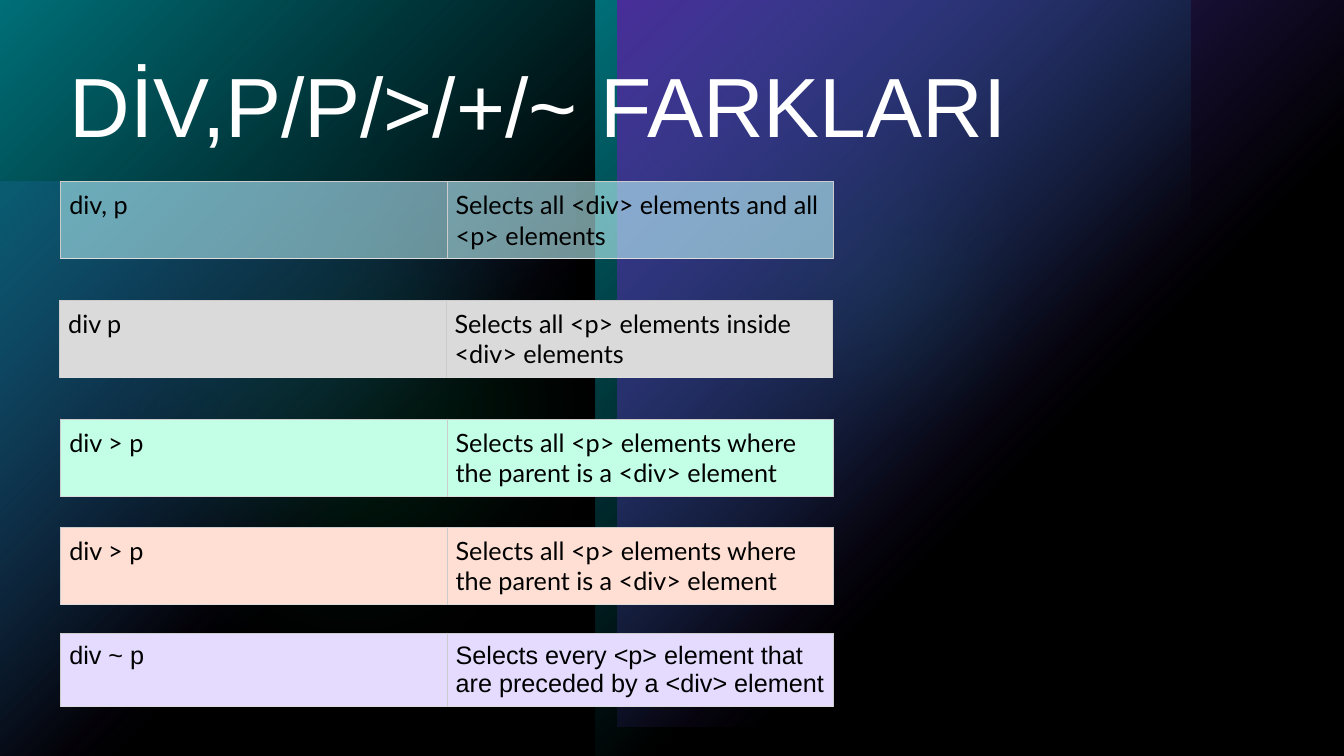
"""Build a slide that compares CSS selectors over a glowing dark backdrop."""
from lxml import etree
from pptx import Presentation
from pptx.dml.color import RGBColor
from pptx.enum.shapes import MSO_SHAPE
from pptx.enum.text import MSO_ANCHOR, PP_ALIGN
from pptx.oxml.ns import qn
from pptx.util import Pt

PX = 9525
RECT, OVAL = MSO_SHAPE.RECTANGLE, MSO_SHAPE.OVAL
TOP, LEFT = MSO_ANCHOR.TOP, PP_ALIGN.LEFT
TEAL, VIOLET, GREEN, BLACK = "00BAC8", "794DFF", "00D17D", "000000"


def rgb(code):
    """Turn a hex string into a colour."""
    return RGBColor.from_string(code)


def tint(host, code, alpha=100):
    """Add a colour with its opacity in percent to an XML fill or stop."""
    node = etree.SubElement(host, qn("a:srgbClr"), val=str(rgb(code)))
    if alpha < 100:
        etree.SubElement(node, qn("a:alpha"), val=str(alpha * 1000))


deck = Presentation()
deck.slide_width, deck.slide_height = 1280 * PX, 720 * PX
slide = deck.slides.add_slide(deck.slide_layouts[5])
back = slide.background.fill
back.solid()
back.fore_color.rgb = rgb(BLACK)

glows = [
    (RECT, 0, 173, 548, 548, VIOLET, 60, "fade"),
    (OVAL, 604, 41, 453, 453, GREEN, 60, "soft"),
    (OVAL, 0, 54, 666, 666, GREEN, 20, "soft"),
    (RECT, 0, 0, 567, 720, TEAL, 100, "fade"),
    (RECT, 567, 0, 567, 720, TEAL, 100, "fade"),
    (RECT, 588, 0, 692, 692, VIOLET, 100, "fade"),
    (RECT, 0, 0, 1280, 720, BLACK, 40, "flat"),
]
for kind, x, y, wide, high, code, alpha, mode in glows:
    glow = slide.shapes.add_shape(kind, x * PX, y * PX, wide * PX, high * PX)
    glow.line.fill.background()
    glow.shadow.inherit = False
    props = glow.element.spPr
    if mode == "fade":
        fill = etree.Element(qn("a:gradFill"), rotWithShape="1")
        stops = etree.SubElement(fill, qn("a:gsLst"))
        for pos, level in ((0, alpha), (60, 0)):
            stop = etree.SubElement(stops, qn("a:gs"), pos=str(pos * 1000))
            tint(stop, code, level)
        path = etree.SubElement(fill, qn("a:path"), {"path": "circle"})
        etree.SubElement(path, qn("a:fillToRect"), r="100000", b="100000")
    else:
        fill = etree.Element(qn("a:solidFill"))
        tint(fill, code, alpha)
    props.insert(2, fill)
    if mode == "soft":
        effects = props.find(qn("a:effectLst"))
        etree.SubElement(effects, qn("a:softEdge"), rad=str(Pt(100)))

title = slide.shapes.title
title.element.getparent().append(title.element)
title.left, title.top = 57 * PX, 57 * PX
title.width, title.height = 1165 * PX, 190 * PX
frame = title.text_frame
frame.text = "DİV,P/P/>/+/~ FARKLARI"
frame.vertical_anchor = TOP
frame.word_wrap = True
head = frame.paragraphs[0]
head.alignment = LEFT
head.line_spacing = 0.9
head.font.name, head.font.size = "Arial", Pt(60)
head.font.color.rgb = rgb("FFFFFF")

rules = [
    (58, 173, "C1FBFF", (53, 59), "Lato", "div, p",
     "Selects all <div> elements and all <p> elements"),
    (57, 286, "DADADA", (100, 100), "Lato", "div p",
     "Selects all <p> elements inside <div> elements"),
    (58, 399, "C3FFE7", (100, 100), "Lato", "div > p",
     "Selects all <p> elements where the parent is a <div> element"),
    (58, 502, "FFDFD3", (100, 100), "Lato", "div > p",
     "Selects all <p> elements where the parent is a <div> element"),
    (58, 603, "E4DBFF", (100, 100), "Arial", "div ~ p",
     "Selects every <p> element that are preceded by a <div> element"),
]
edges = {"a:lnL": "CCCCCC", "a:lnR": "CCCCCC", "a:lnT": "CCCCCC", "a:lnB": "DDDDDD"}
for x, y, code, alphas, face, *texts in rules:
    table = slide.shapes.add_table(1, 2, x * PX, y * PX, 736 * PX, 70 * PX).table
    table.first_row = table.horz_banding = False
    for cell, text, alpha in zip(table.rows[0].cells, texts, alphas):
        cell.text = text
        cell.margin_left = cell.margin_right = 8 * PX
        cell.margin_top = cell.margin_bottom = 8 * PX
        font = cell.text_frame.paragraphs[0].font
        font.name, font.size = face, Pt(18)
        font.color.rgb = rgb(BLACK)
        props = cell._tc.get_or_add_tcPr()
        for side, shade in edges.items():
            edge = etree.SubElement(props, qn(side), w=str(Pt(0.75)))
            tint(etree.SubElement(edge, qn("a:solidFill")), shade)
        tint(etree.SubElement(props, qn("a:solidFill")), code, alpha)

deck.save("out.pptx")
